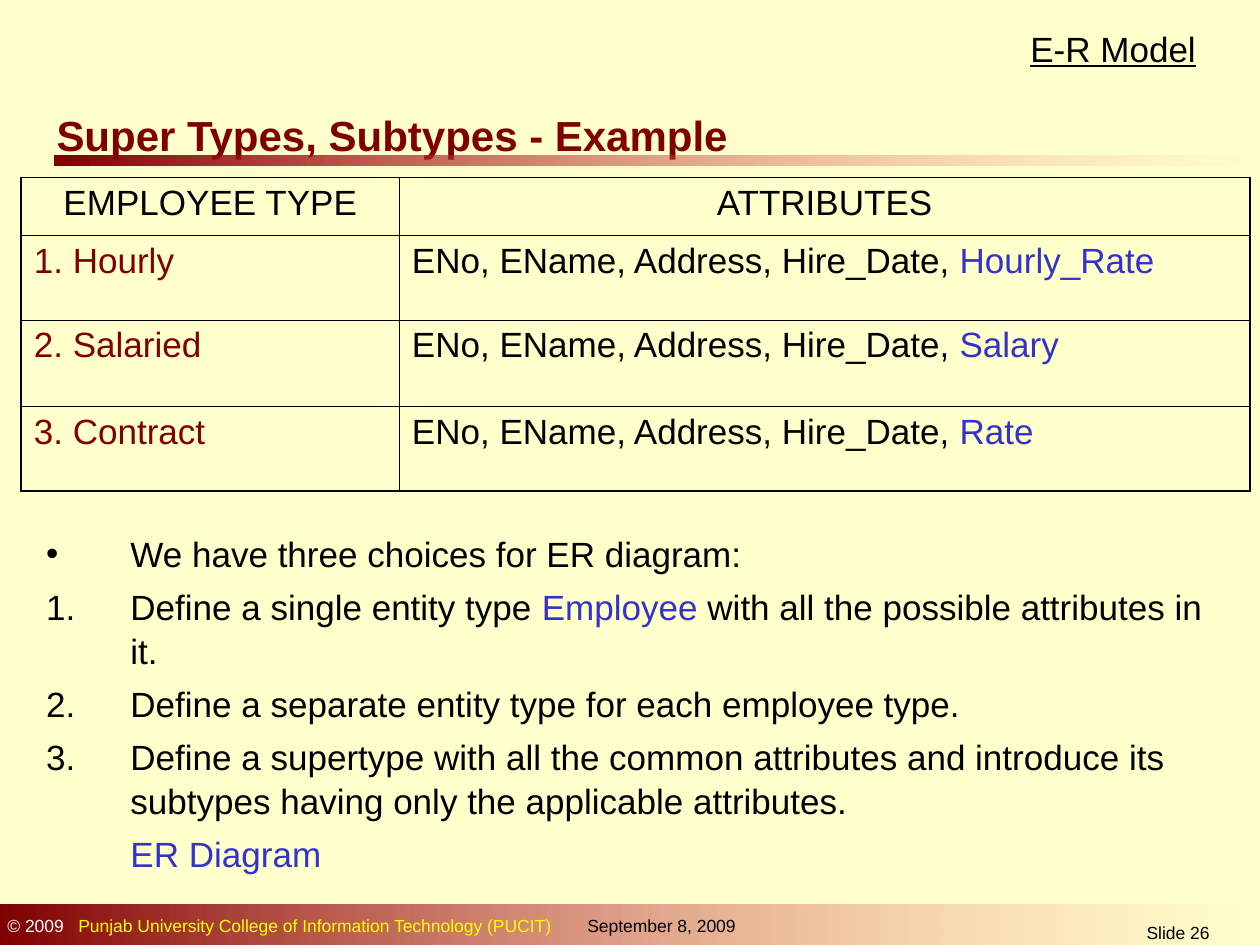
from lxml import etree
from pptx import Presentation
from pptx.dml.color import RGBColor
from pptx.enum import shapes, text
from pptx.oxml import ns
from pptx.util import Cm, Pt

BLACK, MAROON, BLUE = "000000", "800000", "3333CC"
WHITE, YELLOW, PINK, CREAM = "FFFFFF", "FFFF00", "FF8585", "FFFFCC"


def tint(code):
    """Return the colour for a hex string."""
    return RGBColor.from_string(code)


def node(owner, tag, **attrs):
    """Append a drawing element to its owner."""
    return etree.SubElement(owner, ns.qn("a:" + tag), attrs)


def write(para, parts, size=20):
    """Fill a paragraph with pairs of words and colour."""
    for words, code in parts:
        run = para.add_run()
        run.text = words
        run.font.name = "Arial"
        run.font.size = Pt(size)
        run.font.color.rgb = tint(code)


def label(slide, box, parts, size, left=0.25):
    """Place a one-line text box and return its paragraph."""
    frame = slide.shapes.add_textbox(*map(Cm, box)).text_frame
    frame.word_wrap = True
    frame.margin_left = Cm(left)
    write(frame.paragraphs[0], parts, size)
    return frame.paragraphs[0]


def fade(slide, box):
    """Place a bar that fades out to the right."""
    bar = slide.shapes.add_shape(shapes.MSO_SHAPE.RECTANGLE, *map(Cm, box))
    bar.shadow.inherit = False
    bar.line.fill.background()
    bar.fill.gradient()
    bar.fill.gradient_angle = 0
    for stop, code, place in zip(bar.fill.gradient_stops, (MAROON, PINK), (0, 1)):
        stop.color.rgb = tint(code)
        stop.position = place
    last = list(bar.fill._xPr.iter(ns.qn("a:srgbClr")))[-1]
    node(last, "alpha", val="0")


def header(slide, box):
    """Place the topic, the heading and the rule under it."""
    x, y, wide, high = box
    topic = label(slide, (x + 20.52, y + 0.43, 4.88, 1.27), [("E-R Model", BLACK)], 20)
    topic.runs[0].font.underline = True
    title = label(slide, (x + 0.89, y + 2.08, 24, 1.2),
                  [("Super Types, Subtypes - Example", MAROON)], 24)
    title.runs[0].font.bold = True
    fade(slide, (x + 1.09, y + high - 0.2, wide - 1.09, 0.2))


def edge(cell, sides):
    """Draw the borders of a cell, given widths by side."""
    props = cell._tc.get_or_add_tcPr()
    for spot, side in enumerate("LRTB"):
        line = node(props, "ln" + side, w=str(Pt(sides[side])))
        node(node(line, "solidFill"), "srgbClr", val=BLACK)
        props.insert(spot, line)


def grid(slide, box):
    """Place the table of employee types."""
    shared = ("ENo, EName, Address, Hire_Date, ", BLACK)
    rows = [([("EMPLOYEE TYPE", BLACK)], [("ATTRIBUTES", BLACK)])]
    kinds = [("Hourly", "Hourly_Rate"), ("Salaried", "Salary"), ("Contract", "Rate")]
    for count, (kind, field) in enumerate(kinds, 1):
        rows.append(([(f"{count}. {kind}", MAROON)], [shared, (field, BLUE)]))
    table = slide.shapes.add_table(len(rows), 2, *map(Cm, box)).table
    table.first_row = table.horz_banding = False
    for col, wide in zip(table.columns, (7.62, box[2] - 7.62)):
        col.width = Cm(wide)
    for row, high in zip(table.rows, (1.17, 1.7, 1.75, 1.7)):
        row.height = Cm(high)
    thin, thick = 0.45, 1.08
    for i, row in enumerate(rows):
        for j, parts in enumerate(row):
            cell = table.cell(i, j)
            cell.fill.background()
            edge(cell, {"L": thin if j else thick, "R": thick if j else thin,
                        "T": thin if i else thick,
                        "B": thick if i == len(rows) - 1 else thin})
            para = cell.text_frame.paragraphs[0]
            write(para, parts)
            if i == 0:
                para.alignment = text.PP_ALIGN.CENTER


def notes(slide, box):
    """Place the list of choices."""
    items = [
        ("dot", [("We have three choices for ER diagram:", BLACK)]),
        ("num", [("Define a single entity type ", BLACK), ("Employee", BLUE),
                 (" with all the possible attributes in it.", BLACK)]),
        ("num", [("Define a separate entity type for each employee type.", BLACK)]),
        ("num", [("Define a supertype with all the common attributes and introduce "
                  "its subtypes having only the applicable attributes.", BLACK)]),
        ("", [("ER Diagram", BLUE)]),
    ]
    frame = slide.shapes.add_textbox(*map(Cm, box)).text_frame
    frame.word_wrap = True
    frame.margin_left = frame.margin_right = Cm(0.5)
    frame.margin_top = Cm(0.18)
    for i, (mark, parts) in enumerate(items):
        para = frame.add_paragraph() if i else frame.paragraphs[0]
        props = para._p.get_or_add_pPr()
        props.set("marL", str(Cm(1.7)))
        props.set("indent", str(-Cm(1.7) if mark else 0))
        if mark:
            node(node(props, "buClr"), "srgbClr", val=BLACK)
            node(props, "buFont", typeface="Arial")
        if mark == "dot":
            node(props, "buChar", char="•")
        elif mark == "num":
            node(props, "buAutoNum", type="arabicPeriod")
        para.line_spacing = 1.05
        if i:
            para.space_before = Pt(5)
        write(para, parts)


def footer(slide, box):
    """Place the bottom bar with owner, date and slide number."""
    x, y, wide, high = box
    fade(slide, box)
    owner = label(slide, (x - 0.1, y + 0.08, 16.4, 0.69),
                  [("© 2009", WHITE),
                   ("\tPunjab University College of Information Technology (PUCIT)", YELLOW)], 10)
    tabs = node(owner._p.get_or_add_pPr(), "tabLst")
    node(tabs, "tab", pos=str(Cm(1.43)), algn="l")
    label(slide, (x + 10.9, y + 0.08, 4.6, 0.69), [("September 8, 2009", BLACK)], 10, 0.94)
    page = label(slide, (x + 21.11, y + 0.22, 5.28, 0.61), [("Slide 26", BLACK)], 10)
    page.alignment = text.PP_ALIGN.CENTER


def main():
    """Build and save the slide."""
    deck = Presentation()
    deck.slide_width, deck.slide_height = Cm(25.4), Cm(19.05)
    slide = deck.slides.add_slide(deck.slide_layouts[6])
    slide.background.fill.solid()
    slide.background.fill.fore_color.rgb = tint(CREAM)
    header(slide, (0, 0, 25.4, 3.33))
    grid(slide, (0.43, 3.58, 24.77, 6.32))
    notes(slide, (0.43, 10.52, 24.77, 7.39))
    footer(slide, (0, 18.24, 25.48, 0.89))
    deck.save("out.pptx")


if __name__ == "__main__":
    main()
